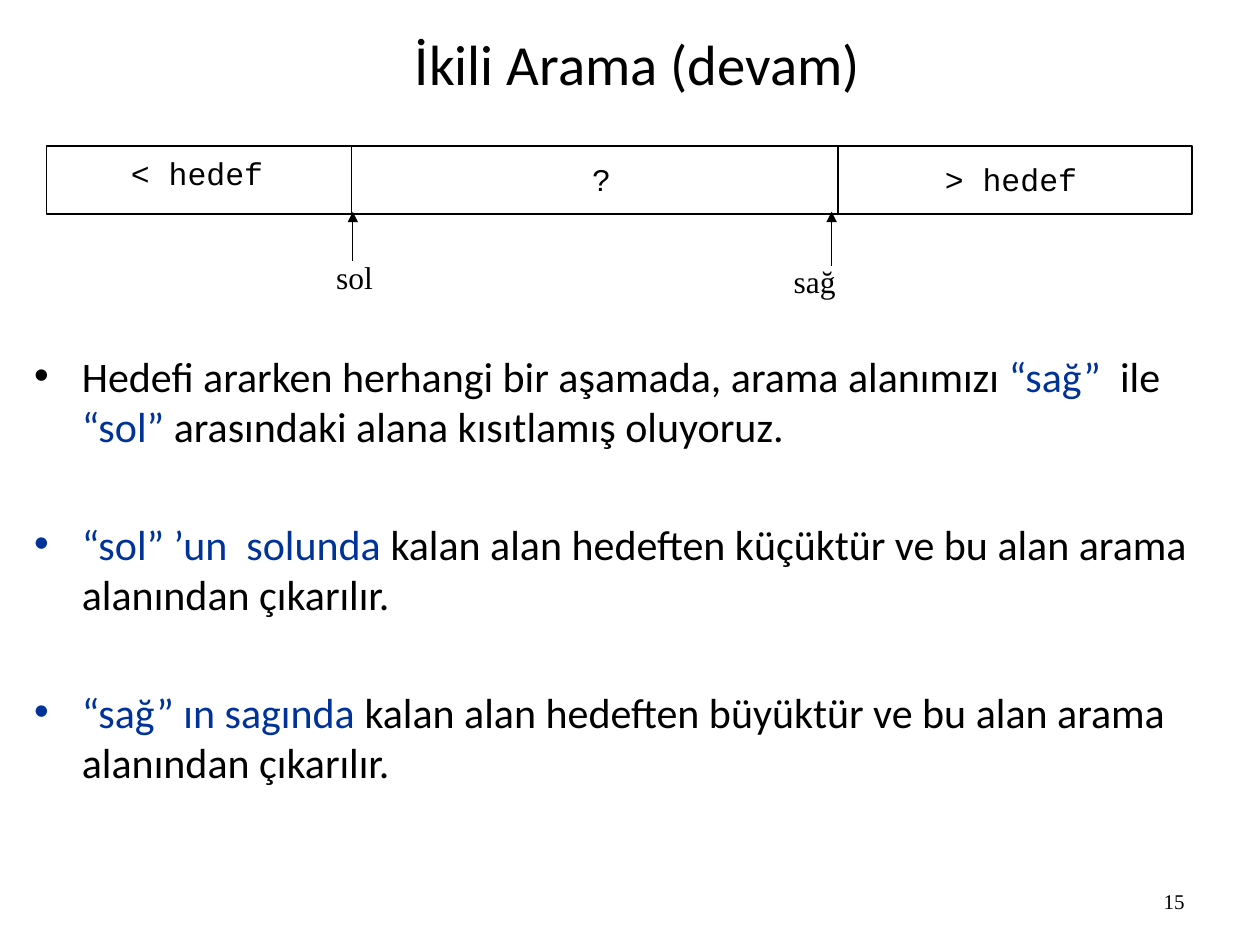
from dataclasses import dataclass
from typing import Any

from lxml.etree import SubElement
from pptx import Presentation
from pptx.dml.color import RGBColor
from pptx.enum.shapes import MSO_CONNECTOR, MSO_SHAPE
from pptx.enum.text import MSO_ANCHOR, MSO_AUTO_SIZE, PP_ALIGN
from pptx.oxml.ns import qn
from pptx.util import Inches, Pt

BLACK = RGBColor(0x00, 0x00, 0x00)
BLUE = RGBColor(0x00, 0x33, 0x99)

TITLE_FORMAT = {"name": "Calibri", "size": Pt(32.4)}
BODY_FORMAT = {"name": "Calibri", "size": Pt(24)}
CODE_FORMAT = {"name": "Courier New", "size": Pt(18)}
POINTER_FORMAT = {"name": "Times New Roman", "size": Pt(18)}
NUMBER_FORMAT = {"name": "Times New Roman", "size": Pt(12)}

ARRAY_LEFT, ARRAY_TOP, ARRAY_WIDTH, ARRAY_HEIGHT = 0.37, 1.16, 9.09, 0.54
ARROW_TIP = 1.68
LABEL_HEIGHT = 0.4
DIVIDERS = (2.79, 6.65)


@dataclass(frozen=True)
class Label:
    text: str
    left: float
    top: float
    width: float


@dataclass(frozen=True)
class Pointer:
    x: float
    tail: float
    label: Label


REGIONS = (
    Label("< hedef", 0.94, 1.17, 1.26),
    Label("?", 4.6, 1.22, 0.35),
    Label("> hedef", 7.4, 1.22, 1.26),
)
POINTERS = (
    Pointer(2.8, 2.07, Label("sol", 2.57, 2.0, 0.5)),
    Pointer(6.6, 2.11, Label("sağ", 6.2, 2.03, 0.54)),
)
BULLETS = (
    (
        ("Hedefi ararken herhangi bir aşamada, arama alanımızı ", BLACK),
        ("“sağ” ", BLUE),
        (" ile ", BLACK),
        ("“sol”", BLUE),
        (" arasındaki alana kısıtlamış oluyoruz.", BLACK),
    ),
    (
        ("“sol” ’un  solunda ", BLUE),
        ("kalan alan hedeften küçüktür ve bu alan arama alanından çıkarılır.", BLACK),
    ),
    (
        ("“sağ” ın sagında ", BLUE),
        ("kalan alan hedeften büyüktür ve bu alan arama alanından çıkarılır.", BLACK),
    ),
)


def add_run(paragraph: Any, text: str, formats: dict, color: RGBColor = BLACK) -> None:
    run = paragraph.add_run()
    run.text = text
    for name, value in formats.items():
        setattr(run.font, name, value)
    run.font.color.rgb = color


def place(shape: Any, left: float, top: float, width: float, height: float) -> None:
    shape.left, shape.top = Inches(left), Inches(top)
    shape.width, shape.height = Inches(width), Inches(height)


def add_label(shapes: Any, label: Label, formats: dict) -> Any:
    box = shapes.add_textbox(Inches(label.left), Inches(label.top),
                             Inches(label.width), Inches(LABEL_HEIGHT))
    box.text_frame.word_wrap = False
    add_run(box.text_frame.paragraphs[0], label.text, formats)
    return box


def add_line(shapes: Any, x: float, start: float, end: float, arrow: bool = False) -> None:
    connector = shapes.add_connector(MSO_CONNECTOR.STRAIGHT, Inches(x), Inches(start),
                                     Inches(x), Inches(end))
    connector.line.color.rgb = BLACK
    connector.line.width = Pt(0.75)
    if arrow:
        SubElement(connector.line._get_or_add_ln(), qn("a:tailEnd"), type="triangle")
    SubElement(connector._element.spPr, qn("a:effectLst"))


def add_pointer(slide: Any, pointer: Pointer) -> None:
    group = slide.shapes.add_group_shape()
    add_line(group.shapes, pointer.x, pointer.tail, ARROW_TIP, arrow=True)
    add_label(group.shapes, pointer.label, POINTER_FORMAT)


def add_array(slide: Any) -> None:
    bar = slide.shapes.add_shape(MSO_SHAPE.RECTANGLE, Inches(ARRAY_LEFT), Inches(ARRAY_TOP),
                                 Inches(ARRAY_WIDTH), Inches(ARRAY_HEIGHT))
    bar.shadow.inherit = False
    bar.fill.background()
    bar.line.color.rgb = BLACK
    bar.line.width = Pt(0.75)
    for x in DIVIDERS:
        add_line(slide.shapes, x, ARRAY_TOP, ARRAY_TOP + ARRAY_HEIGHT)
    for region in REGIONS:
        add_label(slide.shapes, region, CODE_FORMAT)


def fill_title(title: Any) -> None:
    place(title, 0.58, 0.16, 8.96, 0.67)
    frame = title.text_frame
    frame.auto_size = MSO_AUTO_SIZE.NONE
    frame.vertical_anchor = MSO_ANCHOR.MIDDLE
    frame.paragraphs[0].alignment = PP_ALIGN.CENTER
    add_run(frame.paragraphs[0], "İkili Arama (devam)", TITLE_FORMAT)


def fill_body(body: Any) -> None:
    place(body, 0.17, 2.73, 9.65, 4.08)
    frame = body.text_frame
    frame.auto_size = MSO_AUTO_SIZE.NONE
    for index, runs in enumerate(BULLETS):
        paragraph = frame.add_paragraph() if index else frame.paragraphs[0]
        paragraph.space_before = Pt(38.4 if index else 0)
        properties = paragraph._p.get_or_add_pPr()
        properties.set("marL", str(Inches(0.38)))
        properties.set("indent", str(-Inches(0.38)))
        SubElement(properties, qn("a:buFont"), typeface="Arial")
        SubElement(properties, qn("a:buChar"), char="•")
        for text, color in runs:
            add_run(paragraph, text, BODY_FORMAT, color)


def main() -> None:
    presentation = Presentation()
    presentation.slide_width, presentation.slide_height = Inches(10), Inches(7.5)
    slide = presentation.slides.add_slide(presentation.slide_layouts[1])

    # Title and explanation
    fill_title(slide.shapes.title)
    fill_body(slide.placeholders[1])

    # Array with its search bounds
    add_array(slide)
    for pointer in POINTERS:
        add_pointer(slide, pointer)

    # Slide number
    number = add_label(slide.shapes, Label("15", 7.17, 6.95, 2.33), NUMBER_FORMAT)
    number.text_frame.word_wrap = True
    number.text_frame.vertical_anchor = MSO_ANCHOR.MIDDLE
    number.text_frame.paragraphs[0].alignment = PP_ALIGN.RIGHT

    presentation.save("out.pptx")


if __name__ == "__main__":
    main()
